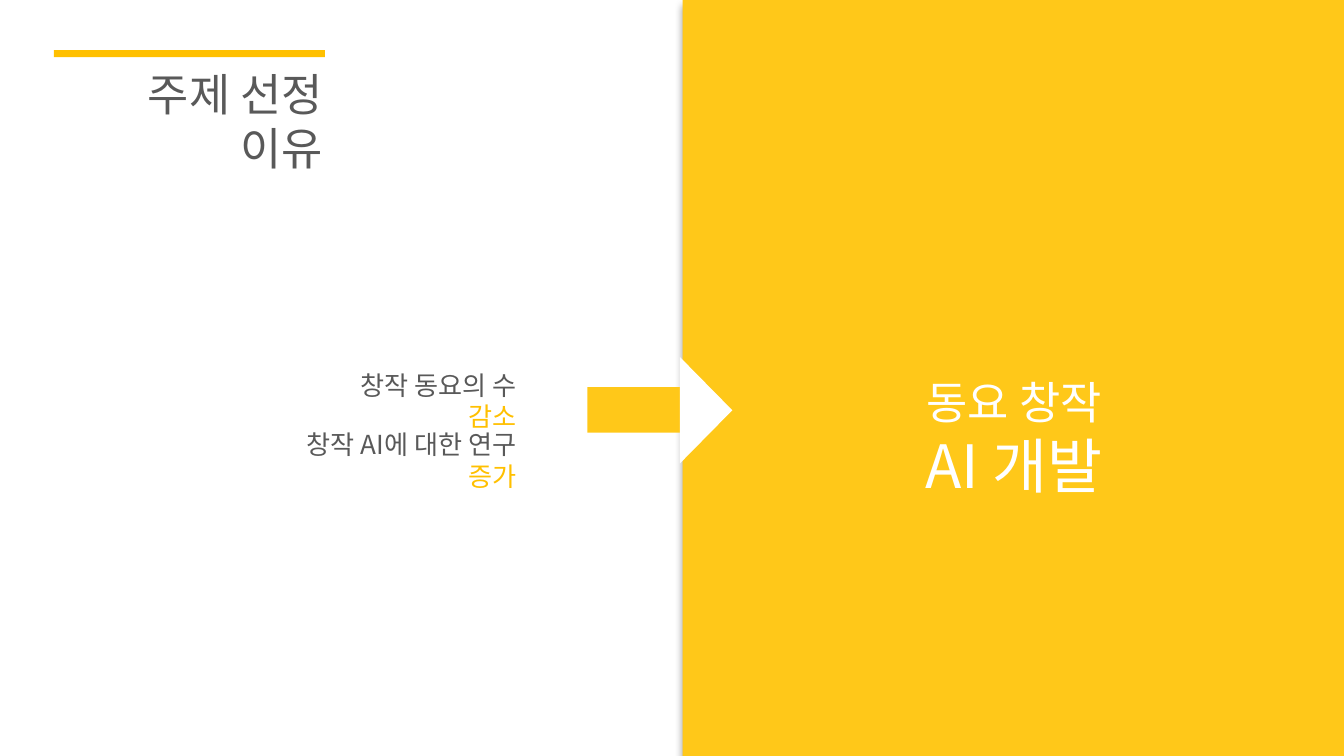
"""Build the slide that explains why the topic was chosen."""
from lxml import etree
from pptx import Presentation
from pptx.dml.color import RGBColor
from pptx.enum.shapes import MSO_SHAPE as Shape
from pptx.enum.text import MSO_AUTO_SIZE as AutoSize, PP_ALIGN as Align
from pptx.oxml import parse_xml
from pptx.oxml.ns import nsdecls, qn
from pptx.util import Cm, Pt

FONT = "Noto Sans CJK KR"
AMBER = RGBColor(0xFF, 0xC0, 0x00)
YELLOW = RGBColor(0xFF, 0xC8, 0x19)
GRAY = RGBColor(0x59, 0x59, 0x59)
WHITE = RGBColor(0xFF, 0xFF, 0xFF)


def add_block(slide, kind, left, top, width, height, color):
    shape = slide.shapes.add_shape(kind, Cm(left), Cm(top), Cm(width), Cm(height))
    shape.shadow.inherit = False
    shape.fill.solid()
    shape.fill.fore_color.rgb = color
    shape.line.fill.background()
    return shape


def add_text(slide, box, insets, align, color, lines):
    shape = slide.shapes.add_textbox(*(Cm(length) for length in box))
    frame = shape.text_frame
    frame.word_wrap = True
    frame.auto_size = AutoSize.SHAPE_TO_FIT_TEXT
    frame.margin_left, frame.margin_right = (Cm(inset) for inset in insets)
    for index, (size, runs) in enumerate(lines):
        paragraph = frame.add_paragraph() if index else frame.paragraphs[0]
        paragraph.alignment = align
        font = paragraph.font
        font.name, font.size = FONT, Pt(size)
        font.color.rgb = color
        for text, run_color in runs:
            run = paragraph.add_run()
            run.text = text
            if run_color != color:
                run.font.color.rgb = run_color
            east_asian = etree.SubElement(run.font._element, qn("a:ea"))
            east_asian.set("typeface", FONT)


presentation = Presentation()
presentation.slide_width, presentation.slide_height = Cm(25.4), Cm(14.29)
slide = presentation.slides.add_slide(presentation.slide_layouts[6])

add_block(slide, Shape.RECTANGLE, 1.02, 0.95, 5.12, 0.13, AMBER)
add_text(slide, (0.71, 1.14, 5.64, 1.27), (1.2, 0.25), Align.RIGHT, GRAY,
         [(24, [("주제 선정 이유", GRAY)])])

panel = add_block(slide, Shape.RECTANGLE, 12.9, 0, 12.5, 14.32, YELLOW)
effects = panel._element.spPr.find(qn("a:effectLst"))
effects.append(parse_xml(
    f'<a:outerShdw {nsdecls("a")} blurRad="50800" dist="38100" dir="5400000" rotWithShape="0">'
    '<a:srgbClr val="000000"><a:alpha val="40000"/></a:srgbClr></a:outerShdw>'))

for left, top, width, reason, trend in [
    (5.49, 6.86, 4.52, "창작 동요의 수 ", "감소"),
    (4.44, 7.98, 5.57, "창작 AI에 대한 연구 ", "증가"),
]:
    add_text(slide, (left, top, width, 0.86), (0.76, 0.25), Align.RIGHT, GRAY,
             [(14, [(reason, GRAY), (trend, AMBER)])])

add_block(slide, Shape.RECTANGLE, 11.1, 7.32, 1.8, 0.86, YELLOW)
arrowhead = add_block(slide, Shape.ISOSCELES_TRIANGLE, 12.34, 7.26, 2.01, 0.99, WHITE)
arrowhead.rotation = 90

add_text(slide, (17.17, 6.96, 3.99, 2.64), (0.28, 0.28), Align.CENTER, WHITE,
         [(24, [("동요 창작", WHITE)]), (32, [("AI 개발", WHITE)])])

presentation.save("out.pptx")
